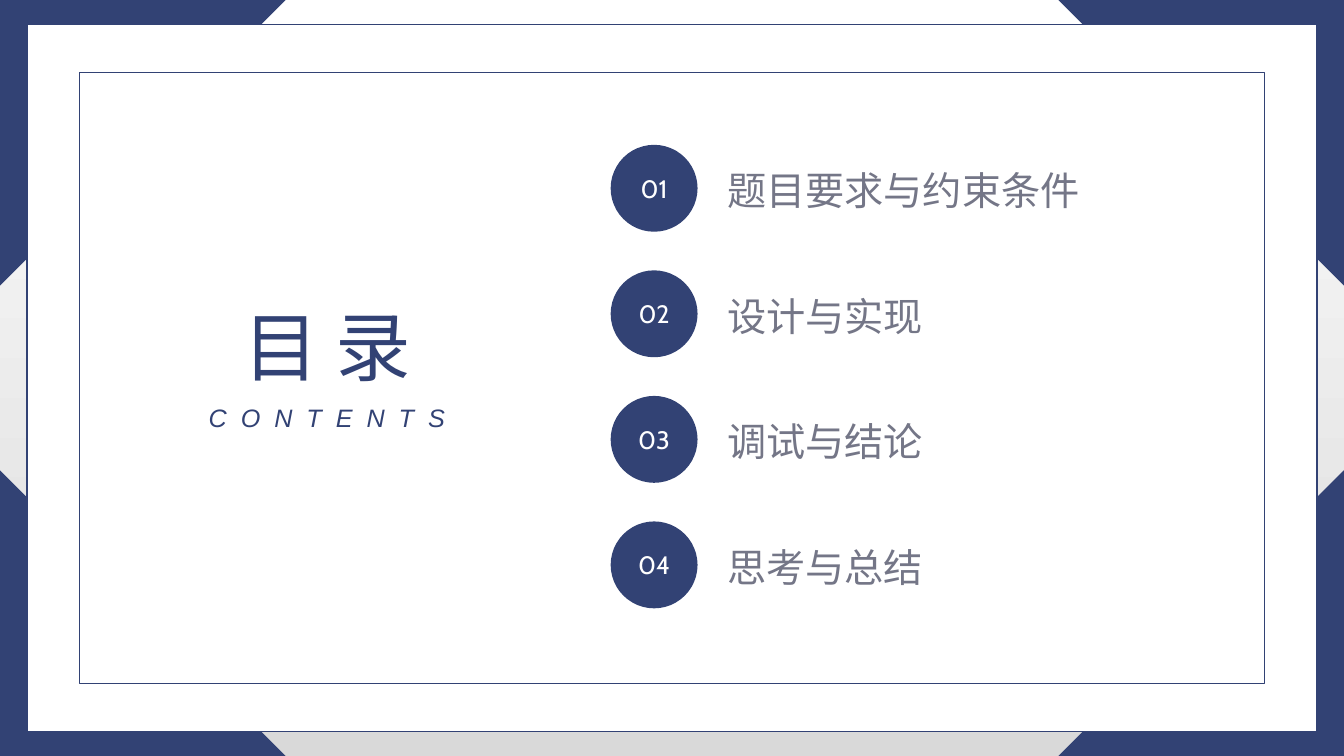
from collections import namedtuple
from dataclasses import dataclass

from lxml.etree import SubElement
from pptx import Presentation
from pptx.dml.color import RGBColor
from pptx.enum.shapes import MSO_SHAPE
from pptx.enum.text import MSO_ANCHOR, MSO_AUTO_SIZE, PP_ALIGN
from pptx.oxml.ns import qn
from pptx.util import Cm, Pt

Box = namedtuple("Box", "left top width height")


@dataclass(frozen=True)
class Theme:
    navy: RGBColor = RGBColor(0x32, 0x42, 0x74)
    grey: RGBColor = RGBColor(0x74, 0x76, 0x87)
    white: RGBColor = RGBColor(0xFF, 0xFF, 0xFF)
    shade: RGBColor = RGBColor(0xD9, 0xD9, 0xD9)
    chinese_font: str = "Noto Sans CJK SC"
    english_font: str = "Arial"
    number_font: str = "Cabin"
    title_size: Pt = Pt(54)
    entry_size: Pt = Pt(28)
    small_size: Pt = Pt(18)
    line_width: Pt = Pt(1)


THEME = Theme()
PAGE = Box(Cm(0), Cm(0), Cm(33.87), Cm(19.05))
ENTRIES = [
    ("题目要求与约束条件", Cm(12.75)),
    ("设计与实现", Cm(8.1)),
    ("调试与结论", Cm(8.1)),
    ("思考与总结", Cm(8.1)),
]


def write(frame, text, font_name, size, color, align=PP_ALIGN.LEFT):
    """Fill a text frame with one styled line and return its run."""
    frame.text = text
    paragraph = frame.paragraphs[0]
    paragraph.alignment = align
    run = paragraph.runs[0]
    run.font.name = font_name
    run.font.size = size
    run.font.color.rgb = color
    SubElement(run.font._element, qn("a:ea"), typeface=font_name)
    return run


def add_label(slide, box, *style):
    frame = slide.shapes.add_textbox(*box).text_frame
    frame.word_wrap = True
    frame.auto_size = MSO_AUTO_SIZE.SHAPE_TO_FIT_TEXT
    return write(frame, *style)


def add_figure(slide, kind, box, fill=None, outline=None):
    figure = slide.shapes.add_shape(kind, *box)
    figure.shadow.inherit = False
    if fill is None:
        figure.fill.background()
    else:
        figure.fill.solid()
        figure.fill.fore_color.rgb = fill
    if outline is None:
        figure.line.fill.background()
    else:
        figure.line.color.rgb = outline
        figure.line.width = THEME.line_width
    return figure


def paint_background(slide):
    fill = slide.background.fill
    fill.gradient()
    fill.gradient_angle = 270
    for stop, color in zip(fill.gradient_stops, (THEME.white, THEME.shade)):
        stop.color.rgb = color


def add_corners(slide, box):
    side = Cm(7.2)
    right = box.left + box.width - side
    bottom = box.top + box.height - side
    places = [(box.left, bottom), (box.left, box.top), (right, box.top), (right, bottom)]
    for turn, (left, top) in enumerate(places):
        corner = add_figure(slide, MSO_SHAPE.RIGHT_TRIANGLE,
                            Box(left, top, side, side), THEME.navy)
        corner.rotation = 90 * turn


def add_frames(slide, box):
    """Place the white panel and the thin frame, each centred in the box."""
    for margin_x, margin_y, fill in ((Cm(0.68), Cm(0.62), THEME.white),
                                     (Cm(2), Cm(1.83), None)):
        frame_box = Box(box.left + margin_x, box.top + margin_y,
                        box.width - 2 * margin_x, box.height - 2 * margin_y)
        add_figure(slide, MSO_SHAPE.RECTANGLE, frame_box, fill, THEME.navy)


def add_heading(slide, box):
    title_height = Cm(2.57)
    add_label(slide, Box(box.left + Cm(0.74), box.top, Cm(5.97), title_height),
              "目 录", THEME.chinese_font, THEME.title_size, THEME.navy, PP_ALIGN.CENTER)
    subtitle = add_label(
        slide, Box(box.left, box.top + title_height, box.width, box.height - title_height),
        " ".join("CONTENTS"), THEME.english_font, THEME.small_size, THEME.navy,
        PP_ALIGN.CENTER)
    subtitle.font.italic = True
    subtitle.font._element.set("spc", "250")  # 2.5 pt between letters


def add_entries(slide, box):
    diameter = Cm(2.19)
    pitch = (box.height - diameter) / (len(ENTRIES) - 1)
    for index, (entry, width) in enumerate(ENTRIES):
        top = box.top + round(index * pitch)
        badge = add_figure(slide, MSO_SHAPE.OVAL,
                           Box(box.left, top, diameter, diameter), THEME.navy)
        number = badge.text_frame
        number.vertical_anchor = MSO_ANCHOR.MIDDLE
        write(number, f"{index + 1:02}", THEME.number_font, THEME.small_size,
              THEME.white, PP_ALIGN.CENTER)
        add_label(slide, Box(box.left + Cm(2.69), top + Cm(0.42), width, Cm(1.45)),
                  entry, THEME.chinese_font, THEME.entry_size, THEME.grey)


def build_contents(slide, box):
    paint_background(slide)
    add_corners(slide, box)
    add_frames(slide, box)
    add_heading(slide, Box(box.left + Cm(4.52), box.top + Cm(7.44), Cm(7.44), Cm(3.59)))
    add_entries(slide, Box(box.left + Cm(15.39), box.top + Cm(3.65), Cm(15.44), Cm(11.68)))


def main():
    deck = Presentation()
    deck.slide_width, deck.slide_height = PAGE.width, PAGE.height
    build_contents(deck.slides.add_slide(deck.slide_layouts[6]), PAGE)
    deck.save("out.pptx")


if __name__ == "__main__":
    main()
